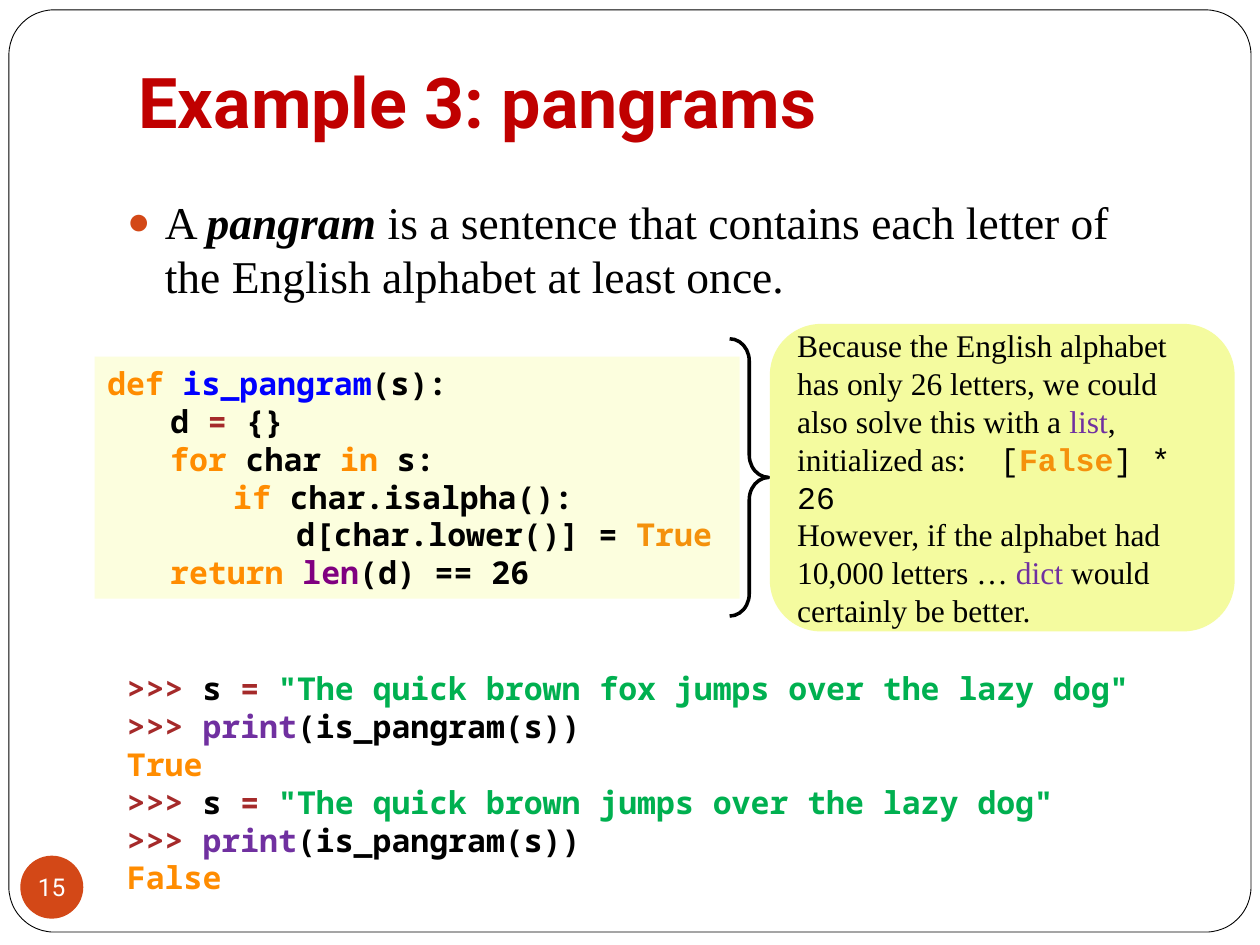
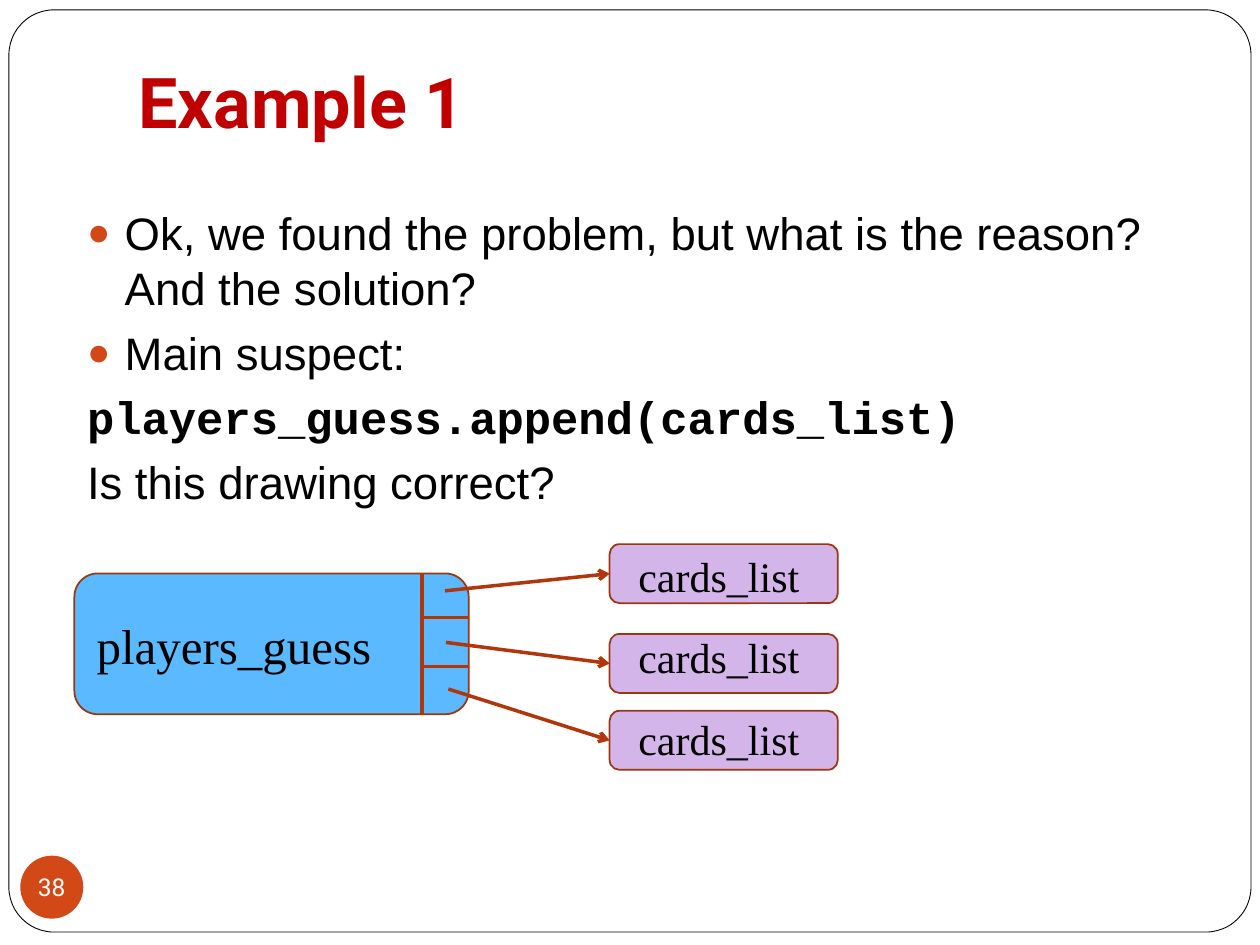
from lxml.etree import SubElement
from pptx import Presentation
from pptx.dml.color import RGBColor
from pptx.enum.shapes import MSO_CONNECTOR, MSO_SHAPE
from pptx.enum.text import MSO_ANCHOR, MSO_AUTO_SIZE, PP_ALIGN
from pptx.oxml.ns import qn
from pptx.util import Cm, Pt

INK, RED, ORANGE, WHITE = "000000", "C00000", "D34817", "FFFFFF"
KEYWORD, CONSTANT, OPERATOR, STRING = "FF8C00", "F4910C", "A52A2A", "00B050"
FUNCTION, BUILTIN, PURPLE = "0000FF", "800080", "7030A0"
CODE_FILL, NOTE_FILL = "FCFEDE", "F4FB9F"
LIST_FILL, CARD_FILL, OUTLINE, ARROW = "5BB9FF", "D3B5E9", "9C3511", "B1360B"
SERIF, SANS, HEADING = "Times New Roman", "Arial", "Roboto"
MONO, CODE = "Courier New", "Noto Sans Mono"


def colour(value):
    return RGBColor.from_string(value)


def cm(*lengths):
    return [Cm(length) for length in lengths]


def add_element(parent, tag, **attributes):
    return SubElement(parent, qn(tag), **attributes)


def set_tabs(paragraph, stops):
    tab_list = add_element(paragraph._p.get_or_add_pPr(), "a:tabLst")
    for stop in stops:
        add_element(tab_list, "a:tab", pos=str(Cm(stop)), algn="l")


def set_bullet(paragraph, bulleted):
    properties = paragraph._p.get_or_add_pPr()
    hanging = Cm(0.76) if bulleted else 0
    properties.set("marL", str(hanging))
    properties.set("indent", str(-hanging))
    if bulleted:
        add_element(add_element(properties, "a:buClr"), "a:srgbClr", val=ORANGE)
        add_element(properties, "a:buSzPct", val="85000")
        add_element(properties, "a:buFont", typeface=SANS)
        add_element(properties, "a:buChar", char="●")
    else:
        add_element(properties, "a:buNone")


class Deck:
    def __init__(self):
        self.show = Presentation()
        self.show.slide_width, self.show.slide_height = cm(25.4, 19.05)
        self.slide = None
        self.framed = False

    def start(self, title, number):
        """Begin a slide with its title, page badge and the shared frame."""
        self.slide = self.show.slides.add_slide(self.show.slide_layouts[1])
        if not self.framed:
            self.add_frame_to_master()
        heading = self.placeholder(0, (2.54, 1.12, 21.59, 2.01))
        heading.vertical_anchor = MSO_ANCHOR.BOTTOM
        heading.margin_bottom = Cm(0.25)
        self.add_runs(heading, [[title]], 40, HEADING, ink=RED, bold=True)
        badge = self.shape(MSO_SHAPE.OVAL, (0.41, 17.25, 1.27, 1.27), ORANGE)
        page = badge.text_frame
        page.margin_left = page.margin_right = page.margin_top = page.margin_bottom = 0
        page.word_wrap = False
        self.add_runs(page, [[number]], 14, HEADING, ink=WHITE, align=PP_ALIGN.CENTER)

    def add_frame_to_master(self):
        frame = self.shape(MSO_SHAPE.ROUNDED_RECTANGLE, (0.18, 0.2, 25.04, 18.59),
                           WHITE, INK, 0.5)
        frame.adjustments[0] = 0.049
        frame.element.nvSpPr.cNvPr.set("id", "99")
        master = self.show.slide_master
        master.placeholders[0].element.getparent().insert(2, frame.element)
        self.framed = True

    def placeholder(self, index, place):
        holder = self.slide.placeholders[index]
        holder.left, holder.top, holder.width, holder.height = cm(*place)
        holder.text_frame.auto_size = MSO_AUTO_SIZE.NONE
        return holder.text_frame

    def shape(self, kind, place, fill=None, line=None, width=1):
        shape = self.slide.shapes.add_shape(kind, *cm(*place))
        shape.shadow.inherit = False
        if fill:
            shape.fill.solid()
            shape.fill.fore_color.rgb = colour(fill)
        else:
            shape.fill.background()
        if line:
            shape.line.color.rgb = colour(line)
            shape.line.width = Pt(width)
        else:
            shape.line.fill.background()
        shape.text_frame.vertical_anchor = MSO_ANCHOR.MIDDLE
        return shape

    def text(self, place, paragraphs, size, font, **style):
        frame = self.slide.shapes.add_textbox(*cm(*place)).text_frame
        frame.word_wrap = True
        frame.auto_size = MSO_AUTO_SIZE.SHAPE_TO_FIT_TEXT
        frame.vertical_anchor = MSO_ANCHOR.MIDDLE
        self.add_runs(frame, paragraphs, size, font, **style)

    def body(self, place, items, font):
        """Fill the body placeholder from (bulleted, runs) pairs."""
        bullets, paragraphs = zip(*items)
        self.add_runs(self.placeholder(1, place), paragraphs, 26, font,
                      bullets=bullets, gap=5.8)

    def line(self, start, end, arrow=False):
        line = self.slide.shapes.add_connector(MSO_CONNECTOR.STRAIGHT, *cm(*start, *end))
        line.line.color.rgb = colour(ARROW)
        line.line.width = Pt(2)
        properties = line.element.spPr
        if arrow:
            add_element(properties.find(qn("a:ln")), "a:tailEnd", type="arrow")
        add_element(properties, "a:effectLst")

    def add_runs(self, frame, paragraphs, size, font, ink=INK, bold=False,
                 align=PP_ALIGN.LEFT, tabs=(), bullets=(), gap=0):
        """Add runs given as text or as (text, colour, font changes)."""
        for index, runs in enumerate(paragraphs):
            paragraph = frame.add_paragraph() if index else frame.paragraphs[0]
            paragraph.alignment = align
            paragraph.space_before = Pt(gap if index else 0)
            if bullets:
                set_bullet(paragraph, bullets[index])
            if tabs:
                set_tabs(paragraph, tabs)
            for item in runs:
                full_item = (item, ink, {}) if isinstance(item, str) else (*item, {})
                words, shade, changes = full_item[:3]
                run = paragraph.add_run()
                run.text = words.rstrip("\n")
                run.font.size = Pt(size)
                run.font.color.rgb = colour(shade)
                run.font.name = changes.get("name", font)
                run.font.bold = changes.get("bold", bold)
                run.font.italic = changes.get("italic", False)
                if words.endswith("\n"):
                    paragraph.add_line_break()


def shell_session(sentence, answer):
    return [(">>>", OPERATOR), " s ", ("= ", OPERATOR), (f'"{sentence}"\n', STRING),
            (">>> ", OPERATOR), ("print", PURPLE), "(is_pangram(s))\n",
            (answer, KEYWORD)]


def pangram_slide(deck):
    deck.start("Example 3: pangrams", "15")
    deck.body((2.31, 3.78, 21.59, 2.39), [
        (True, ["A ", ("pangram", INK, {"bold": True, "italic": True}),
                " is a sentence that contains each letter of the English alphabet"
                " at least once."]),
    ], SERIF)

    code = deck.shape(MSO_SHAPE.RECTANGLE, (1.91, 7.19, 13, 4.88), CODE_FILL)
    deck.add_runs(code.text_frame, [
        [("def ", KEYWORD), ("is_pangram", FUNCTION), "(s):"],
        ["\td ", ("=", OPERATOR), " {}"],
        [("\tfor", KEYWORD), " char ", ("in", KEYWORD), " s:"],
        ["\t\t", ("if ", KEYWORD), "char.isalpha():"],
        ["\t\t\td[char.lower()] = ", ("True", CONSTANT)],
        ["\t", ("return ", KEYWORD), ("len", BUILTIN), "(d) == 26"],
    ], 18, CODE, bold=True, tabs=[1.27 * level for level in (1, 2, 3)])

    deck.text((2.31, 13.34, 21.01, 4.88), [
        shell_session("The quick brown fox jumps over the lazy dog", "True"),
        shell_session("The quick brown jumps over the lazy dog", "False"),
    ], 18, CODE, bold=True)

    brace = deck.shape(MSO_SHAPE.RIGHT_BRACE, (14.71, 6.83, 0.79, 5.59), line=INK, width=2)
    brace.adjustments[0] = 0.568
    note = deck.shape(MSO_SHAPE.ROUNDED_RECTANGLE, (15.52, 6.53, 9.37, 6.2), NOTE_FILL)
    mono = {"name": MONO}
    deck.add_runs(note.text_frame, [
        ["Because the English alphabet has only 26 letters, we could also solve"
         " this with a ", ("list", PURPLE), ", initialized as:\t", ("[", INK, mono),
         ("False", CONSTANT, {"name": MONO, "bold": True}), ("] * 26", INK, mono)],
        ["However, if the alphabet had 10,000 letters … ", ("dict ", PURPLE),
         "would certainly be better."],
    ], 18, SERIF, tabs=[4.09])


def suspect_slide(deck):
    deck.start("Example 1", "38")
    deck.body((1.5, 4.01, 22.63, 12.7), [
        (True, ["Ok, we found the problem, but what is the reason? And the solution?"]),
        (True, ["Main suspect:"]),
        (False, [("players_guess.append(cards_list)", INK, {"name": MONO, "bold": True})]),
        (False, ["Is this drawing correct?"]),
    ], SANS)

    left, top, width, height = 1.5, 11.56, 7.95, 2.84
    right, cell_left = left + width, 8.51
    deck.shape(MSO_SHAPE.ROUNDED_RECTANGLE, (left, top, width, height), LIST_FILL, OUTLINE)
    deck.text((1.7, 12.27, 6.96, 1.45), [["players_guess"]], 28, SERIF)

    card_left, card_height = 12.29, 1.19
    card_tops = (10.97, 12.78, 14.33)
    for index, card_top in enumerate(card_tops):
        deck.shape(MSO_SHAPE.ROUNDED_RECTANGLE, (card_left, card_top, 4.6, card_height),
                   CARD_FILL, OUTLINE)
        deck.text((12.62, 10.97 + 1.64 * index, 4.5, 1.27), [["cards_list"]], 24, SERIF)

    deck.line((cell_left, top), (cell_left, top + height))
    for divider in (12.45, 13.44):
        deck.line((cell_left, divider), (right, divider))
    arrow_starts = ((8.97, 11.91), (8.99, 12.95), (9.04, 13.89))
    for start, card_top in zip(arrow_starts, card_tops):
        deck.line(start, (card_left, card_top + card_height / 2), arrow=True)


def main():
    deck = Deck()
    pangram_slide(deck)
    suspect_slide(deck)
    deck.show.save("out.pptx")


if __name__ == "__main__":
    main()
